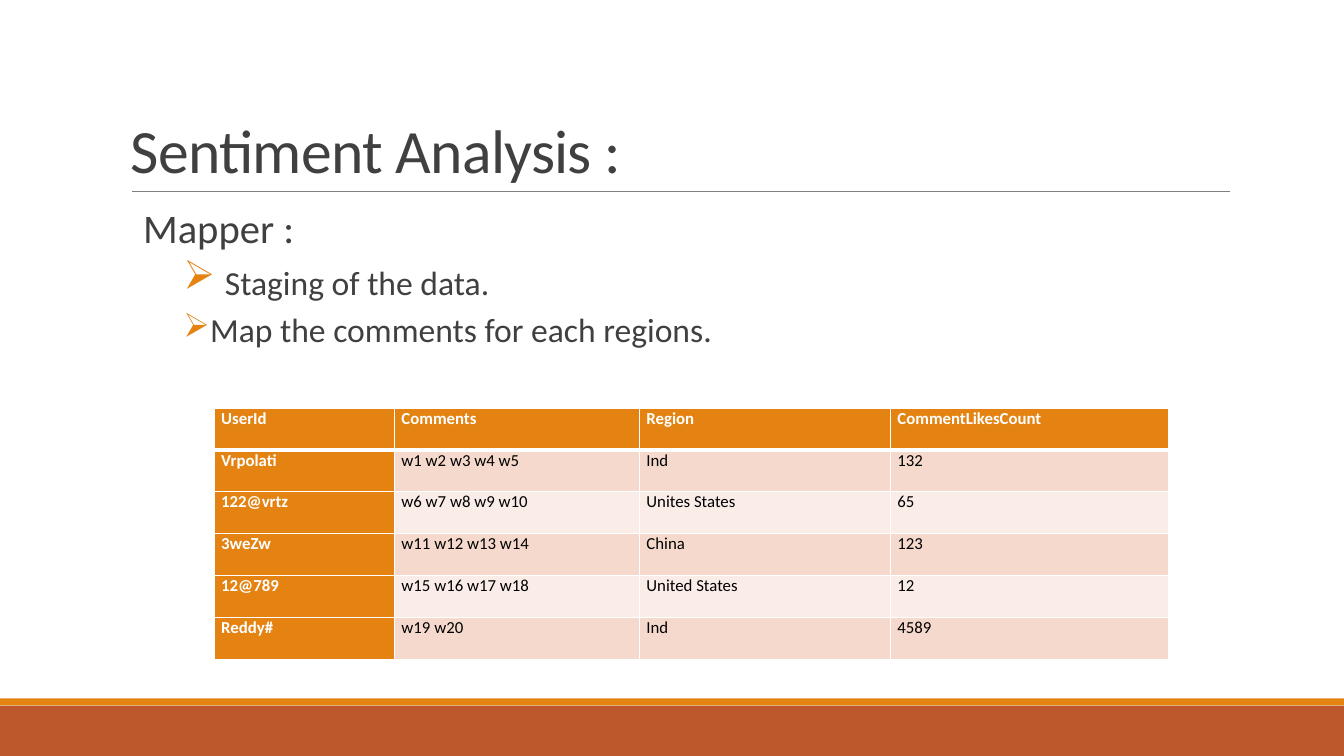
from lxml.etree import SubElement
from pptx import Presentation
from pptx.dml.color import RGBColor
from pptx.enum.shapes import MSO_CONNECTOR, MSO_SHAPE
from pptx.enum.text import MSO_ANCHOR
from pptx.oxml.ns import qn
from pptx.util import Pt

COLORS = {
    "rust": "BD582C",
    "orange": "E48312",
    "rule": "808080",
    "text": "404040",
    "white": "FFFFFF",
    "black": "000000",
    "band_dark": "F5D9CC",
    "band_light": "FAEDE7",
}
WIDTH, HEIGHT = 960, 540


class SlideBuilder:
    font = "Calibri"

    def __init__(self, slide):
        self.slide = slide

    def color(self, name):
        return RGBColor.from_string(COLORS[name])

    def bar(self, top, height, color):
        bar = self.slide.shapes.add_shape(
            MSO_SHAPE.RECTANGLE, Pt(0), Pt(top), Pt(WIDTH), Pt(height))
        bar.shadow.inherit = False
        bar.fill.solid()
        bar.fill.fore_color.rgb = self.color(color)
        bar.line.fill.background()

    def rule(self, left, right, y):
        rule = self.slide.shapes.add_connector(
            MSO_CONNECTOR.STRAIGHT, Pt(left), Pt(y), Pt(right), Pt(y))
        rule.line.color.rgb = self.color("rule")
        rule.line.width = Pt(0.5)
        SubElement(rule._element.spPr, qn("a:effectLst"))

    def text_frame(self, left, top, width, height, side_inset, anchor):
        frame = self.slide.shapes.add_textbox(
            Pt(left), Pt(top), Pt(width), Pt(height)).text_frame
        frame.word_wrap = True
        frame.vertical_anchor = anchor
        frame.margin_left = frame.margin_right = Pt(side_inset)
        frame.margin_top = frame.margin_bottom = Pt(3.6)
        return frame

    def run(self, paragraph, text, size, color="text", bold=False):
        run = paragraph.add_run()
        run.text = text
        run.font.name = self.font
        run.font.size = Pt(size)
        run.font.bold = bold
        run.font.color.rgb = self.color(color)
        return run

    def title(self, text):
        frame = self.text_frame(86.4, 22.3, 792, 114.5, 7.2, MSO_ANCHOR.BOTTOM)
        paragraph = frame.paragraphs[0]
        paragraph.line_spacing = 0.85
        self.run(paragraph, text, 44)._r.get_or_add_rPr().set("spc", "-50")

    def outline(self, heading, points):
        frame = self.text_frame(86.4, 145.4, 792, 316.8, 0, MSO_ANCHOR.TOP)
        lines = [[(heading, 29)]] + points
        for index, runs in enumerate(lines):
            paragraph = frame.add_paragraph() if index else frame.paragraphs[0]
            paragraph.line_spacing = 0.9
            paragraph.space_before = Pt(2)
            paragraph.space_after = Pt(4)
            properties = paragraph._p.get_or_add_pPr()
            if index:
                paragraph.level = 2
                self.bullet(properties)
            else:
                properties.set("marL", str(Pt(15.84)))
                properties.set("indent", "0")
            for text, size in runs:
                self.run(paragraph, text, size)

    def bullet(self, properties):
        properties.set("marL", str(Pt(59)))
        properties.set("indent", str(Pt(-14.4)))
        color = SubElement(properties, qn("a:buClr"))
        SubElement(color, qn("a:srgbClr"), val=COLORS["orange"])
        SubElement(properties, qn("a:buChar"), char="➢")

    def borders(self, cell, top, bottom):
        properties = cell._tc.get_or_add_tcPr()
        for side, width in (("L", 1), ("R", 1), ("T", top), ("B", bottom)):
            line = SubElement(properties, qn(f"a:ln{side}"), w=str(Pt(width)))
            fill = SubElement(line, qn("a:solidFill"))
            SubElement(fill, qn("a:srgbClr"), val=COLORS["white"])

    def table(self, left, top, widths, row_height, rows):
        table = self.slide.shapes.add_table(
            len(rows), len(widths), Pt(left), Pt(top),
            Pt(sum(widths)), Pt(row_height * len(rows))).table
        table.first_col = True
        for column, width in zip(table.columns, widths):
            column.width = Pt(width)
        for r, values in enumerate(rows):
            table.rows[r].height = Pt(row_height)
            band = "band_dark" if r % 2 else "band_light"
            for c, value in enumerate(values):
                header = r == 0 or c == 0
                cell = table.cell(r, c)
                cell.margin_left = cell.margin_right = Pt(5)
                cell.margin_top = cell.margin_bottom = Pt(0)
                self.borders(cell, 3 if r == 1 else 1, 3 if r == 0 else 1)
                cell.fill.solid()
                cell.fill.fore_color.rgb = self.color("orange" if header else band)
                self.run(cell.text_frame.paragraphs[0], value, 12,
                         "white" if header else "black", header)


def main():
    presentation = Presentation()
    presentation.slide_width = Pt(WIDTH)
    presentation.slide_height = Pt(HEIGHT)
    builder = SlideBuilder(
        presentation.slides.add_slide(presentation.slide_layouts[6]))

    builder.bar(504, 36, "rust")
    builder.bar(498.8, 5.04, "orange")
    builder.rule(94.3, 878.8, 136.8)
    builder.title("Sentiment Analysis :")
    builder.outline("Mapper :", [
        [(" ", 29), ("Staging of the data.", 24)],
        [("Map the comments for each regions.", 24)],
    ])
    builder.table(153, 291.6, [128.8, 175, 179.3, 198.7], 29.88, [
        ("UserId", "Comments", "Region", "CommentLikesCount"),
        ("Vrpolati", "w1 w2 w3 w4 w5", "Ind", "132"),
        ("122@vrtz", "w6 w7 w8 w9 w10", "Unites States", "65"),
        ("3weZw", "w11 w12 w13 w14", "China", "123"),
        ("12@789", "w15 w16 w17 w18", "United States", "12"),
        ("Reddy#", "w19 w20", "Ind", "4589"),
    ])
    presentation.save("out.pptx")


if __name__ == "__main__":
    main()
